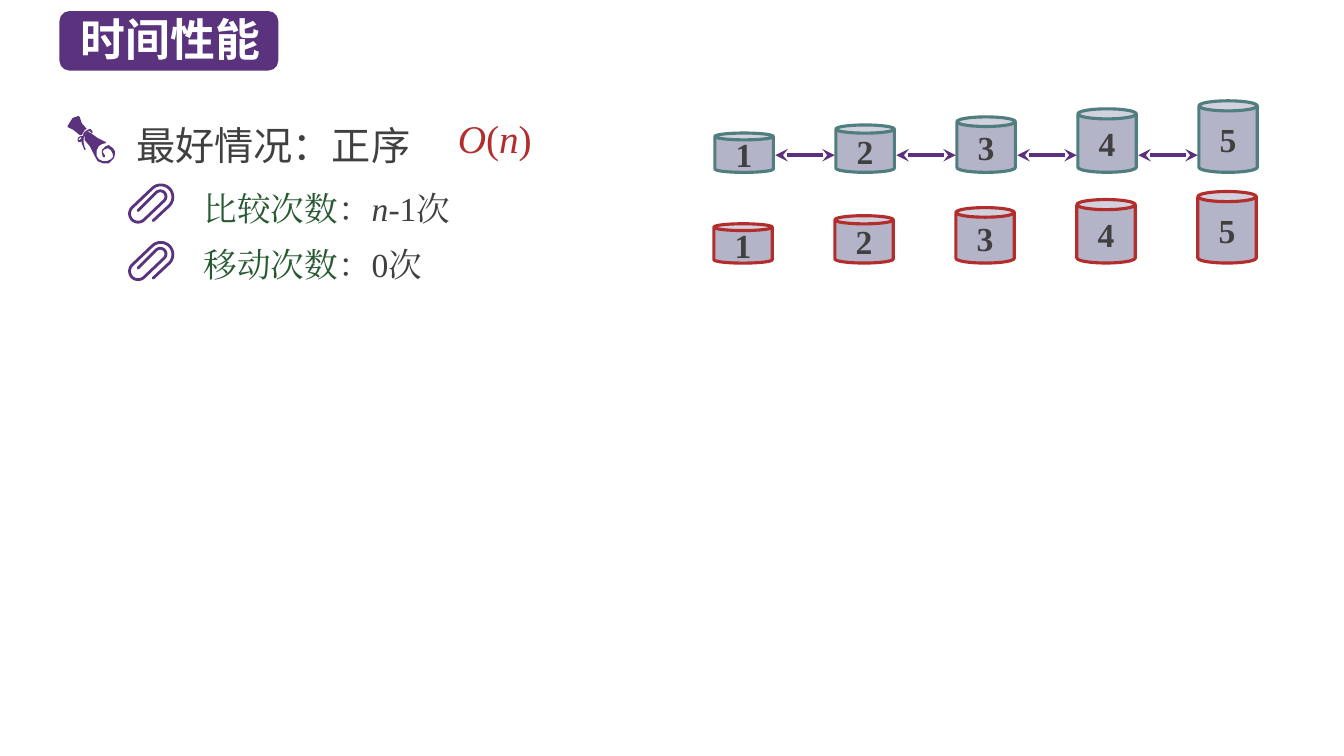
from math import atan2, cos, hypot, pi, sin

from lxml import etree
from pptx import Presentation
from pptx.dml.color import RGBColor
from pptx.enum.shapes import MSO_CONNECTOR, MSO_SHAPE
from pptx.enum.text import MSO_ANCHOR, MSO_AUTO_SIZE, PP_ALIGN
from pptx.oxml.ns import qn
from pptx.util import Inches, Pt

CAN, ROUNDED = MSO_SHAPE.CAN, MSO_SHAPE.ROUNDED_RECTANGLE
STRAIGHT = MSO_CONNECTOR.STRAIGHT
TOP, MIDDLE = MSO_ANCHOR.TOP, MSO_ANCHOR.MIDDLE
LEFT, CENTER = PP_ALIGN.LEFT, PP_ALIGN.CENTER
GROW = MSO_AUTO_SIZE.SHAPE_TO_FIT_TEXT


class Theme:
    purple, arrow, white = "5A327D", "5C307D", "FFFFFF"
    ink, green, red = "404040", "285A32", "B42D2D"
    can, teal = "B4B4C8", "507D7D"
    sans, serif = "Noto Sans CJK SC", "Times New Roman"
    title, heading, item = 32, 28, 24


# Content: runs are (text, colour, italic)
TITLE = [("时间性能", Theme.white, False)]
HEADING = [("最好情况：正序", Theme.ink, False)]
COMPARISONS = [("比较次数", Theme.green, False), ("：", Theme.ink, False),
               ("n", Theme.ink, True), ("-1次", Theme.ink, False)]
MOVES = [("移动次数", Theme.green, False), ("：0次", Theme.ink, False)]
COMPLEXITY = [("O", Theme.red, True), ("(", Theme.red, False),
              ("n", Theme.red, True), (")", Theme.red, False)]
RECORDS = ["1", "2", "3", "4", "5"]

# Boxes: (placeholder, runs, place, font, size, bold, line spacing, left inset)
TEXTS = [
    (0, TITLE, (0.7, 0.07, 2.1, 0.64), Theme.sans, Theme.title, True, 1, 0.1),
    (1, HEADING, (1.16, 1.01, 4.25, 0.71), Theme.sans, Theme.heading, False, 1.3, 0.19),
    (2, COMPARISONS, (1.92, 1.77, 3.08, 0.55), Theme.serif, Theme.item, False, 1.1, 0.1),
    (3, MOVES, (1.92, 2.33, 3.85, 0.55), Theme.serif, Theme.item, False, 1.1, 0.1),
    (4, COMPLEXITY, (4.44, 1.08, 1.1, 0.57), Theme.serif, Theme.heading, False, 1, 0.1),
]
CAN_ROWS = [(7.09, 1.71, Theme.teal), (7.08, 2.61, Theme.red)]  # left, bottom, line
CAN_W, CAN_H, CAN_STEP, CAN_PITCH = 0.58, 0.39, 0.08, 1.2
ARROW_Y, ARROW_GAP, ARROW_LEN = 1.54, 0.02, 0.59

# Paper clip wire: each pair of points is the two ends of a half-circle bend
CLIP_TOPS = [1.82, 2.39]
CLIP_START, CLIP_END = (1.52, 0.37), (1.37, 0.27)
CLIP_BENDS = [((1.68, 0.22), (1.51, 0.05)), ((1.31, 0.24), (1.43, 0.36)),
              ((1.63, 0.17), (1.55, 0.09))]

# Scroll outlines, in hundredths of an inch
SCROLL_PARTS = [
    [[(81, 134), (84, 129), (86, 128), (81, 122), (79, 116), (78, 115),
      (72, 117), (67, 125), (67, 126), (73, 129), (79, 134)]],
    [[(112, 147), (108, 144.5), (105, 145), (103, 147), (101, 149), (101, 151),
      (102, 156), (104, 156), (104, 154), (102, 151), (102, 149.5), (104, 148),
      (107, 147), (110, 149), (112, 153), (111.5, 156), (110, 158), (106, 160),
      (102, 160), (98, 158), (96, 155), (96, 149), (98, 145), (101, 143),
      (105, 142), (105, 141), (97, 137), (90, 132), (88, 131), (86, 131),
      (84, 135), (84, 139), (89, 145), (94, 155), (97, 160), (102, 162),
      (104, 162), (108, 161.5), (111, 159), (113, 157), (114, 153), (113.5, 150)]],
    [[(84, 149), (83, 147), (81, 142), (81, 140), (80, 141), (78, 141),
      (77, 140), (77, 138), (78, 136), (80, 135), (82, 135), (83, 132),
      (85, 130), (89, 128), (90, 128), (92, 131), (91, 132), (90, 131),
      (89, 130), (86, 131), (84, 135), (83, 137), (83, 142), (84, 146),
      (85, 148)],
     [(80, 136), (78, 138), (78, 139), (79, 139), (81, 137)]],
]


def rgb(value):
    return RGBColor.from_string(value)


def place(shape, box):
    shape.left, shape.top, shape.width, shape.height = map(Inches, box)


def style_run(r, font, size, color, bold=False, italic=False):
    r.font.name, r.font.size = font, Pt(size)
    r.font.bold, r.font.italic = bold, italic
    r.font.color.rgb = rgb(color)
    latin = r.font._element.find(qn("a:latin"))
    ea = etree.Element(qn("a:ea"), typeface=font)
    latin.addnext(ea)


def fill_text(shape, runs, box, font, size, bold, spacing, inset):
    place(shape, box)
    tf = shape.text_frame
    tf.word_wrap, tf.vertical_anchor, tf.auto_size = True, TOP, GROW
    tf.margin_left = Inches(inset)
    p = tf.paragraphs[0]
    p.alignment, p.line_spacing, p.space_before = LEFT, spacing, Pt(0)
    pPr = p._p.get_or_add_pPr()
    pPr.set("marL", "0")
    pPr.set("indent", "0")
    etree.SubElement(pPr, qn("a:buNone"))
    for text, color, italic in runs:
        r = p.add_run()
        r.text = text
        style_run(r, font, size, color, bold, italic)


def add_can(s, label, left, bottom, height, color):
    sp = s.shapes.add_shape(CAN, Inches(left), Inches(bottom - height),
                            Inches(CAN_W), Inches(height))
    sp.shadow.inherit = False
    sp.adjustments[0] = 0.173
    sp.fill.solid()
    sp.fill.fore_color.rgb = rgb(Theme.can)
    sp.line.color.rgb, sp.line.width = rgb(color), Pt(2.25)
    tf = sp.text_frame
    tf.text = label
    tf.word_wrap, tf.vertical_anchor = False, MIDDLE
    p = tf.paragraphs[0]
    p.alignment = CENTER
    style_run(p.runs[0], Theme.serif, Theme.item, Theme.ink, bold=True)


def add_arrow(s, left):
    line = s.shapes.add_connector(STRAIGHT, Inches(left), Inches(ARROW_Y),
                                  Inches(left + ARROW_LEN), Inches(ARROW_Y))
    line.line.color.rgb, line.line.width = rgb(Theme.arrow), Pt(3)
    for end in ("a:headEnd", "a:tailEnd"):
        etree.SubElement(line.line._get_or_add_ln(), qn(end), type="stealth")
    etree.SubElement(line._element.spPr, qn("a:effectLst"))


def bend(a, b, steps=16):
    """Points on the half circle from a to b."""
    cx, cy = (a[0] + b[0]) / 2, (a[1] + b[1]) / 2
    radius, start = hypot(a[0] - cx, a[1] - cy), atan2(a[1] - cy, a[0] - cx)
    turn = -pi if a[0] > b[0] else pi
    if a[0] < b[0]:
        turn = -turn
    return [(cx + radius * cos(start + turn * i / steps),
             cy + radius * sin(start + turn * i / steps)) for i in range(steps + 1)]


def add_outline(s, contours, unit, closed):
    builder = s.shapes.build_freeform(*contours[0][0], scale=unit)
    for i, points in enumerate(contours):
        if i:
            builder.move_to(*points[0])
        builder.add_line_segments(points[1:], close=closed)
    sp = builder.convert_to_shape()
    sp.shadow.inherit = False
    return sp


def add_clip(s, top):
    wire = [CLIP_START] + [pt for ends in CLIP_BENDS for pt in bend(*ends)] + [CLIP_END]
    points = [(round(x * 1000), round((y + top) * 1000)) for x, y in wire]
    sp = add_outline(s, [points], Inches(1) / 1000, False)
    sp.fill.background()
    sp.line.color.rgb, sp.line.width = rgb(Theme.purple), Pt(2)
    sp.line._get_or_add_ln().set("cap", "rnd")


def main():
    prs = Presentation()
    prs.slide_width, prs.slide_height = Inches(13.33), Inches(7.5)
    s = prs.slides.add_slide(prs.slide_layouts[4])
    for sp in list(s.placeholders):
        if sp.placeholder_format.idx > 4:
            sp.element.getparent().remove(sp.element)

    # Title badge, behind the title
    badge = s.shapes.add_shape(ROUNDED, Inches(0.59), Inches(0.11), Inches(2.17), Inches(0.59))
    badge.shadow.inherit = False
    badge.fill.solid()
    badge.fill.fore_color.rgb = rgb(Theme.purple)
    badge.line.fill.background()
    s.shapes.title.element.addprevious(badge.element)

    # Title, heading and list
    holders = {sp.placeholder_format.idx: sp for sp in s.placeholders}
    for idx, *text in TEXTS:
        fill_text(holders[idx], *text)

    # Icons
    for top in CLIP_TOPS:
        add_clip(s, top)
    for contours in SCROLL_PARTS:
        sp = add_outline(s, contours, Inches(1) / 100, True)
        sp.fill.solid()
        sp.fill.fore_color.rgb = rgb(Theme.purple)
        sp.line.fill.background()

    # Rows of records and the comparisons between neighbours
    for left, bottom, color in CAN_ROWS:
        for i, label in enumerate(RECORDS):
            add_can(s, label, left + i * CAN_PITCH, bottom, CAN_H + i * CAN_STEP, color)
    for i in range(len(RECORDS) - 1):
        add_arrow(s, CAN_ROWS[0][0] + CAN_W + ARROW_GAP + i * CAN_PITCH)

    prs.save("out.pptx")


if __name__ == "__main__":
    main()
